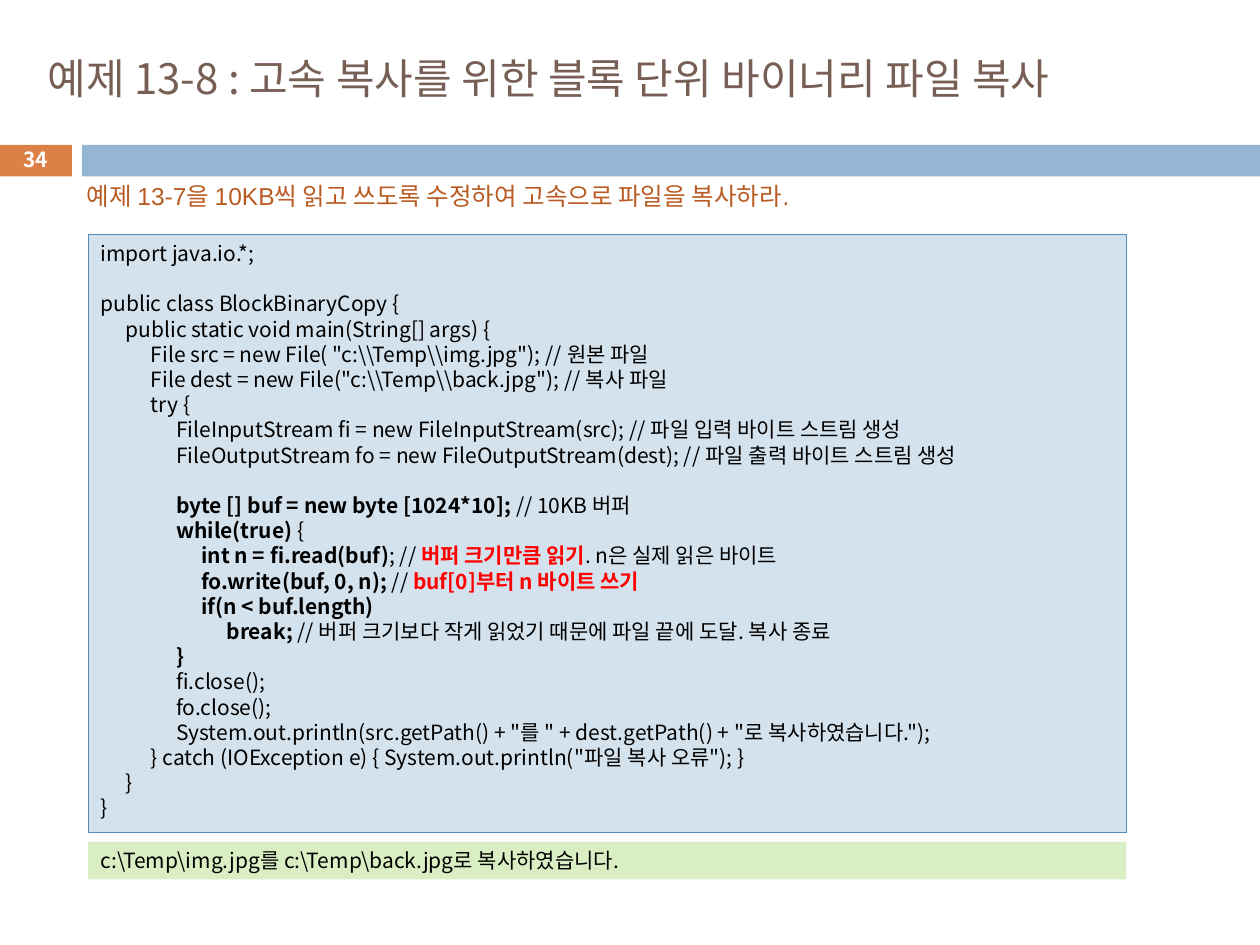
from pptx import Presentation
from pptx.dml.color import RGBColor
from pptx.enum.shapes import MSO_SHAPE
from pptx.enum.text import MSO_ANCHOR, PP_ALIGN
from pptx.util import Inches, Pt

ORANGE = RGBColor(0xDD, 0x80, 0x47)
BLUE = RGBColor(0x94, 0xB6, 0xD2)
BROWN = RGBColor(0x77, 0x5F, 0x55)
RUST = RGBColor(0xB9, 0x5B, 0x22)
PALE_BLUE = RGBColor(0xD4, 0xE2, 0xED)
EDGE_BLUE = RGBColor(0x55, 0x8B, 0xB8)
PALE_GREEN = RGBColor(0xDA, 0xEE, 0xC4)
WHITE = RGBColor(0xFF, 0xFF, 0xFF)
BLACK = RGBColor(0x00, 0x00, 0x00)
RED = RGBColor(0xFF, 0x00, 0x00)

KOREAN_FONT = "Noto Sans CJK KR"
INDENT = 0.2
LINE_PITCH = 1.2

BOLD = {"bold": True}
KEY_POINT = {"bold": True, "color": RED}

# Each block is separated by one line; a line is its depth and its (text, format) runs.
CODE_BLOCKS = [
    [
        (0, [("import java.io.*;", {})]),
    ],
    [
        (0, [("public class BlockBinaryCopy {", {})]),
        (1, [("public static void main(String[] args) {", {})]),
        (2, [(r'File src = new File( "c:\\Temp\\img.jpg"); // 원본 파일', {})]),
        (2, [(r'File dest = new File("c:\\Temp\\back.jpg"); // 복사 파일', {})]),
        (2, [("try {", {})]),
        (3, [("FileInputStream fi = new FileInputStream(src); // 파일 입력 바이트 스트림 생성", {})]),
        (3, [("FileOutputStream fo = new FileOutputStream(dest); // 파일 출력 바이트 스트림 생성", {})]),
    ],
    [
        (3, [("byte [] buf = new byte [1024*10]; ", BOLD), ("// 10KB 버퍼", {})]),
        (3, [("while(true) ", BOLD), ("{", {})]),
        (4, [("int n = fi.read(buf)", BOLD), ("; // ", {}),
             ("버퍼 크기만큼 읽기", KEY_POINT), (". n은 실제 읽은 바이트", {})]),
        (4, [("fo.write(buf, 0, n); ", BOLD), ("// ", {}),
             ("buf[0]부터 n 바이트 쓰기", KEY_POINT)]),
        (4, [("if(n < buf.length)", BOLD)]),
        (5, [("break; ", BOLD),
             ("// 버퍼 크기보다 작게 읽었기 때문에 파일 끝에 도달. 복사 종료", {})]),
        (3, [("}", BOLD)]),
        (3, [("fi.close();", {})]),
        (3, [("fo.close();", {})]),
        (3, [('System.out.println(src.getPath() + "를 " + dest.getPath() + "로 복사하였습니다.");', {})]),
        (2, [('} catch (IOException e) { System.out.println("파일 복사 오류"); }', {})]),
        (1, [("}", {})]),
        (0, [("}", {})]),
    ],
]


def add_run(p, text, size=12, font=KOREAN_FONT, color=BLACK, bold=False):
    r = p.add_run()
    r.text = text
    r.font.size = Pt(size)
    r.font.name = font
    r.font.bold = bold
    r.font.color.rgb = color
    ea = r.font._element.makeelement(
        "{http://schemas.openxmlformats.org/drawingml/2006/main}ea", {"typeface": KOREAN_FONT})
    r.font._element.append(ea)


class SlideBuilder:
    def __init__(self, slide, code_size=12):
        self.s = slide
        self.code_size = code_size

    def bar(self, x, y, w, h, fill, line=None):
        sp = self.s.shapes.add_shape(
            MSO_SHAPE.RECTANGLE, Inches(x), Inches(y), Inches(w), Inches(h))
        sp.shadow.inherit = False
        sp.fill.solid()
        sp.fill.fore_color.rgb = fill
        if line is None:
            sp.line.fill.background()
        else:
            sp.line.color.rgb = line
            sp.line.width = Pt(0.75)
        return sp

    def text(self, x, y, w, h, text, size, anchor=MSO_ANCHOR.TOP, align=PP_ALIGN.LEFT, **fmt):
        tf = self.s.shapes.add_textbox(Inches(x), Inches(y), Inches(w), Inches(h)).text_frame
        tf.word_wrap = True
        tf.vertical_anchor = anchor
        p = tf.paragraphs[0]
        p.alignment = align
        p.line_spacing = Pt(size * LINE_PITCH)
        add_run(p, text, size=size, **fmt)

    def code(self, sp, blocks):
        """Fill a shape with indented lines, one line of space between blocks."""
        tf = sp.text_frame
        tf.word_wrap = True
        tf.vertical_anchor = MSO_ANCHOR.TOP
        pitch = Pt(self.code_size * LINE_PITCH)
        for b, block in enumerate(blocks):
            for i, (depth, runs) in enumerate(block):
                p = tf.paragraphs[0] if b == i == 0 else tf.add_paragraph()
                p.alignment = PP_ALIGN.LEFT
                p.line_spacing = pitch
                if b and i == 0:
                    p.space_before = pitch
                p._p.get_or_add_pPr().set("marL", str(Inches(depth * INDENT)))
                for text, fmt in runs:
                    add_run(p, text, size=self.code_size, **fmt)


def main():
    prs = Presentation()
    prs.slide_width, prs.slide_height = Inches(10), Inches(7.5)
    page = SlideBuilder(prs.slides.add_slide(prs.slide_layouts[6]))

    page.bar(-0.01, 1.15, 0.58, 0.25, ORANGE)
    page.bar(0.65, 1.15, 9.35, 0.25, BLUE)
    page.text(0.28, 0.25, 9.31, 0.74, "예제 13-8 : 고속 복사를 위한 블록 단위 바이너리 파일 복사",
              24, anchor=MSO_ANCHOR.MIDDLE, color=BROWN)
    page.text(-0.01, 1.13, 0.58, 0.27, "34", 11.9, anchor=MSO_ANCHOR.MIDDLE,
              align=PP_ALIGN.CENTER, color=WHITE, bold=True)
    page.text(0.59, 1.39, 8.5, 0.34, "예제 13-7을 10KB씩 읽고 쓰도록 수정하여 고속으로 파일을 복사하라.",
              14, font="Arial", color=RUST)

    listing = page.bar(0.7, 1.86, 8.24, 4.75, PALE_BLUE, line=EDGE_BLUE)
    page.code(listing, CODE_BLOCKS)
    output = page.bar(0.7, 6.68, 8.24, 0.3, PALE_GREEN)
    page.code(output, [[(0, [(r"c:\Temp\img.jpg를 c:\Temp\back.jpg로 복사하였습니다.", {})])]])

    prs.save("out.pptx")


if __name__ == "__main__":
    main()
